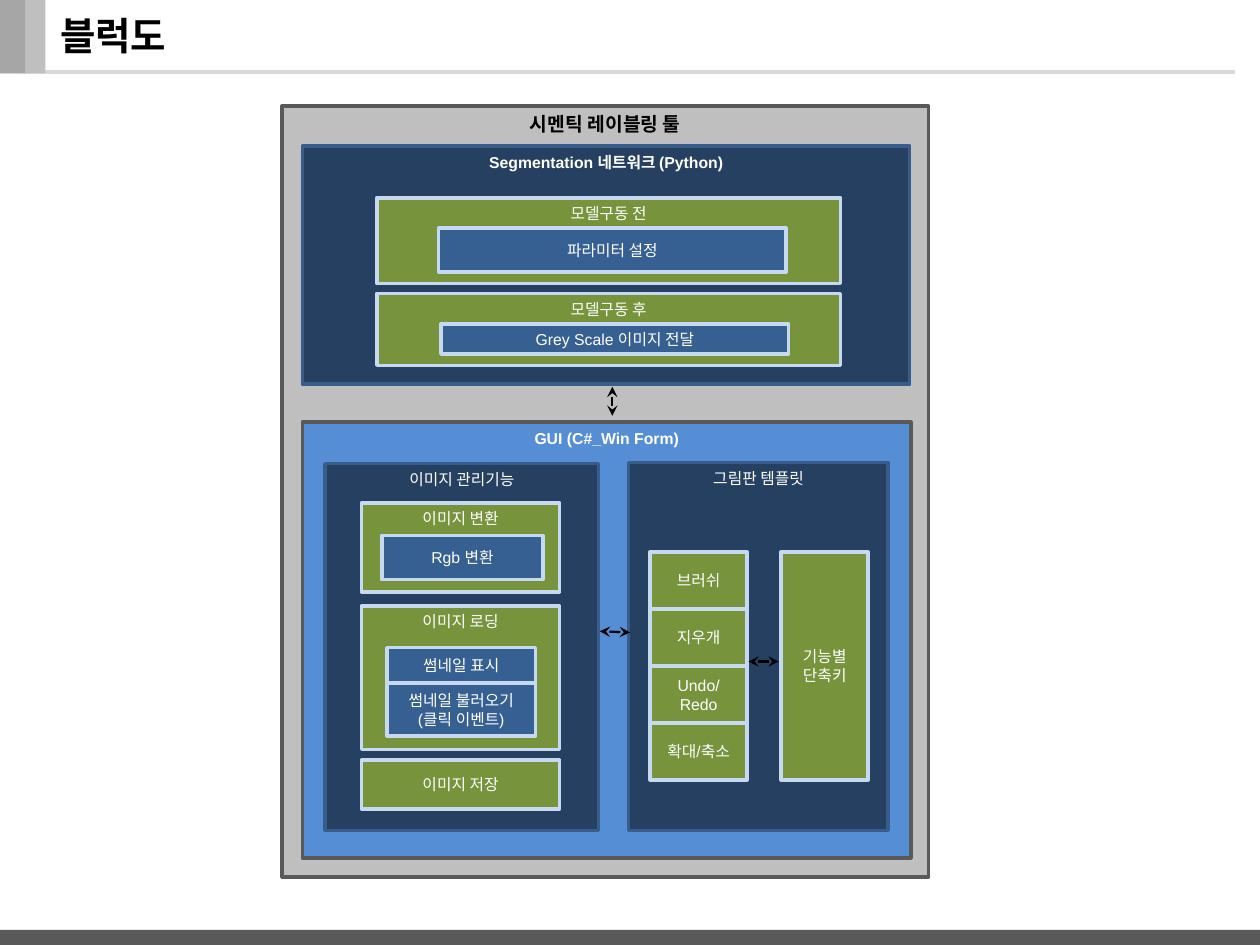
from dataclasses import dataclass

import pptx
import pptx.dml.color
import pptx.enum.shapes
import pptx.enum.text
import pptx.oxml
import pptx.oxml.ns
import pptx.util

Inches, Pt = pptx.util.Inches, pptx.util.Pt
ANCHOR, ALIGN = pptx.enum.text.MSO_ANCHOR, pptx.enum.text.PP_ALIGN

COLORS = {
    "black": "000000", "white": "FFFFFF", "rule": "D9D9D9",
    "gray": "BFBFBF", "mid_gray": "A6A6A6", "dark_gray": "595959",
    "navy": "254061", "navy_edge": "385D8A", "sky": "558ED5",
    "green": "77933C", "blue": "376092", "pale": "C6D9F1",
}

# Fill and outline of each kind of block
STYLES = {
    "tool": ("gray", "dark_gray"), "gui": ("sky", "dark_gray"),
    "panel": ("navy", "navy_edge"), "group": ("green", "pale"),
    "item": ("blue", "pale"),
}


@dataclass
class Block:
    text: str
    x: float
    y: float
    w: float
    h: float
    style: str
    middle: bool = False
    bold: bool = False
    size: float = 9
    color: str = "white"


@dataclass
class Arrow:
    x1: float
    y1: float
    x2: float
    y2: float


def rgb(name: str) -> pptx.dml.color.RGBColor:
    return pptx.dml.color.RGBColor.from_string(COLORS[name])


def write(sp, text: str, *, size: float = 9, color: str = "white",
          bold: bool = False, middle: bool = False, align=ALIGN.CENTER) -> None:
    tf = sp.text_frame
    tf.word_wrap = True
    tf.vertical_anchor = ANCHOR.MIDDLE if middle else ANCHOR.TOP
    for i, line in enumerate(text.split("\n")):
        p = tf.add_paragraph() if i else tf.paragraphs[0]
        p.alignment = align
        r = p.add_run()
        r.text = line
        r.font.name, r.font.size, r.font.bold = "Arial", Pt(size), bold
        r.font.color.rgb = rgb(color)


def rect(s, x: float, y: float, w: float, h: float, fill: str, edge: str = ""):
    sp = s.shapes.add_shape(pptx.enum.shapes.MSO_SHAPE.RECTANGLE,
                            Inches(x), Inches(y), Inches(w), Inches(h))
    sp.shadow.inherit = False
    sp.fill.solid()
    sp.fill.fore_color.rgb = rgb(fill)
    if edge:
        sp.line.color.rgb = rgb(edge)
        sp.line.width = Pt(2)
    else:
        sp.line.fill.background()
    return sp


def draw_block(s, b: Block) -> None:
    sp = rect(s, b.x, b.y, b.w, b.h, *STYLES[b.style])
    write(sp, b.text, size=b.size, color=b.color, bold=b.bold, middle=b.middle)


def line(s, x1: float, y1: float, x2: float, y2: float, color: str, width: float):
    cn = s.shapes.add_connector(pptx.enum.shapes.MSO_CONNECTOR.STRAIGHT,
                                Inches(x1), Inches(y1), Inches(x2), Inches(y2))
    cn.line.color.rgb = rgb(color)
    cn.line.width = Pt(width)
    pptx.oxml.ns.qn("a:effectLst")
    cn._element.spPr.append(pptx.oxml.parse_xml(
        f"<a:effectLst {pptx.oxml.ns.nsdecls('a')}/>"))
    return cn


def draw_arrow(s, a: Arrow) -> None:
    cn = line(s, a.x1, a.y1, a.x2, a.y2, "black", 1.25)
    ln = cn.line._get_or_add_ln()
    for end in ("headEnd", "tailEnd"):
        ln.append(pptx.oxml.parse_xml(
            f"<a:{end} {pptx.oxml.ns.nsdecls('a')} type='stealth'/>"))


TOOLS = ["브러쉬", "지우개", "Undo/Redo", "확대/축소"]
TOOL_TOP, TOOL_STEP = 4.38, 0.4533

BLOCKS = [
    Block("시멘틱 레이블링 툴", 2.24, 0.84, 5.13, 6.12, "tool",
          bold=True, size=11, color="black"),
    # Segmentation network
    Block("Segmentation 네트워크 (Python)", 2.4, 1.16, 4.82, 1.89, "panel", bold=True),
    Block("모델구동 전", 2.99, 1.57, 3.68, 0.68, "group"),
    Block("파라미터 설정", 3.48, 1.81, 2.76, 0.35, "item", middle=True),
    Block("모델구동 후", 2.99, 2.33, 3.68, 0.57, "group"),
    Block("Grey Scale 이미지 전달", 3.5, 2.57, 2.76, 0.24, "item", middle=True),
    # GUI: image management
    Block("GUI (C#_Win Form)", 2.4, 3.35, 4.83, 3.46, "gui", bold=True),
    Block("이미지 관리기능", 2.58, 3.68, 2.17, 2.91, "panel"),
    Block("이미지 변환", 2.87, 3.99, 1.57, 0.71, "group"),
    Block("Rgb 변환", 3.03, 4.25, 1.28, 0.35, "item", middle=True),
    Block("이미지 로딩", 2.87, 4.81, 1.57, 1.14, "group"),
    Block("썸네일 불러오기(클릭 이벤트)", 3.07, 5.42, 1.18, 0.42, "item", middle=True),
    Block("썸네일 표시", 3.07, 5.14, 1.18, 0.28, "item", middle=True),
    Block("이미지 저장", 2.87, 6.03, 1.57, 0.39, "group", middle=True),
    # GUI: drawing board
    Block("그림판 템플릿", 4.99, 3.67, 2.06, 2.92, "panel"),
    *[Block(name, 5.16, TOOL_TOP + i * TOOL_STEP, 0.77, 0.45, "group", middle=True)
      for i, name in enumerate(TOOLS)],
    Block("기능별\n단축키", 6.2, 4.38, 0.69, 1.81, "group", middle=True),
]

ARROWS = [
    Arrow(4.86, 3.07, 4.86, 3.3),
    Arrow(5, 5.02, 4.76, 5.01),
    Arrow(6.18, 5.25, 5.94, 5.25),
]

prs = pptx.Presentation()
prs.slide_width, prs.slide_height = Inches(10), Inches(7.5)
s = prs.slides.add_slide(prs.slide_layouts[6])

# Header and footer bars
line(s, 9.8, 0.57, 0, 0.57, "rule", 2.25)
rect(s, 0.19, 0, 0.17, 0.58, "gray")
rect(s, 0, 0, 0.2, 0.58, "mid_gray")
rect(s, 0, 7.38, 10, 0.12, "dark_gray")

# Title
title = s.shapes.add_textbox(Inches(0.38), Inches(0), Inches(8.06), Inches(0.55))
write(title, "블럭도", size=22, color="black", bold=True, middle=True, align=ALIGN.LEFT)

# Diagram
for block in BLOCKS:
    draw_block(s, block)
for arrow in ARROWS:
    draw_arrow(s, arrow)

prs.save("out.pptx")
